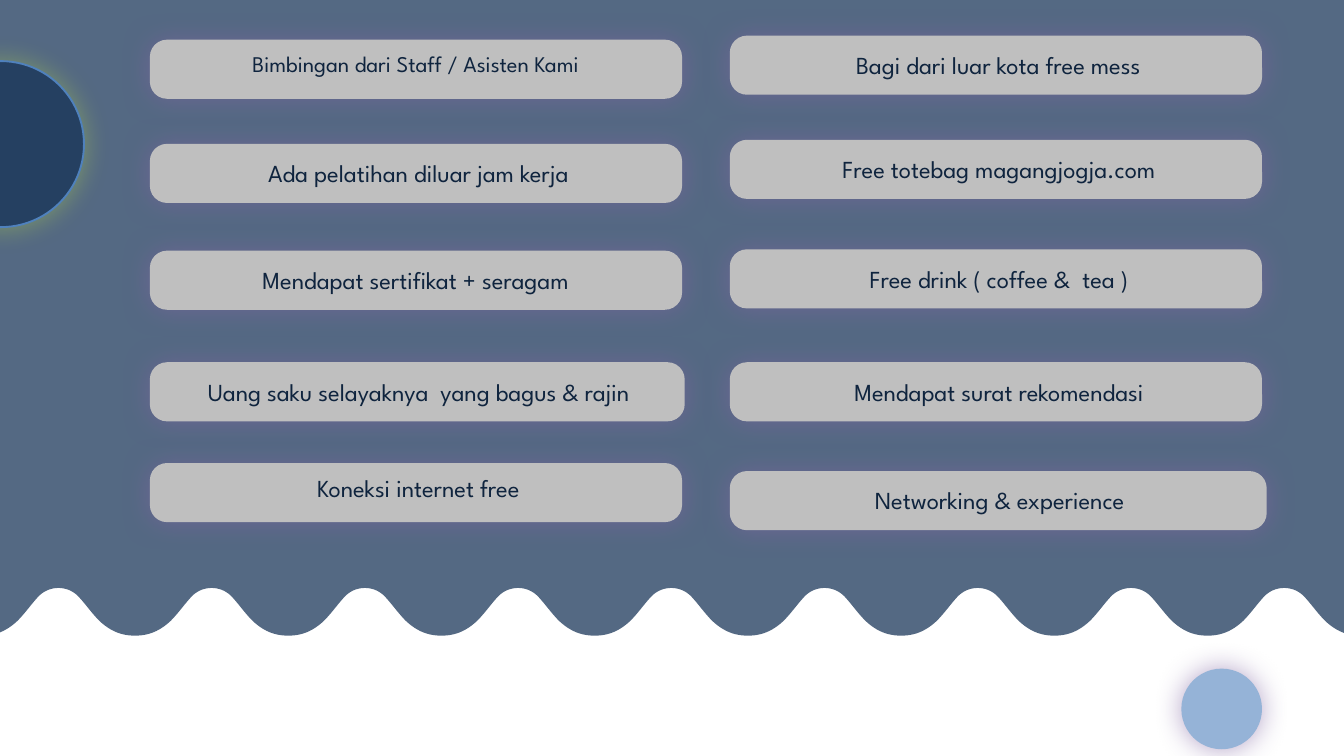
from collections import namedtuple

from lxml import etree
from pptx import Presentation
from pptx.dml.color import RGBColor
from pptx.enum.shapes import MSO_SHAPE
from pptx.enum.text import MSO_AUTO_SIZE, PP_ALIGN
from pptx.oxml.ns import qn
from pptx.util import Pt

OVAL = MSO_SHAPE.OVAL
ROUNDED = MSO_SHAPE.ROUNDED_RECTANGLE
CENTER = PP_ALIGN.CENTER
GROW = MSO_AUTO_SIZE.SHAPE_TO_FIT_TEXT

SCALE = 9144
SLIDE_WIDTH, SLIDE_HEIGHT = 2000, 1125
FONT = "League Spartan"
NAVY, INK, GREY = "254061", "0F243E", "BFBFBF"
SKY, BLUE, PURPLE, GREEN = "95B3D7", "4F81BD", "8064A2", "9BBB59"

CARD_HEIGHT = 88
WAVE_PERIOD = 228
WAVE_CREST = 87
HALF_WAVE = [
    ((0, 875), (12, 875), (23, 880), (31, 889)),
    ((31, 889), (41, 900), (50, 913), (61, 924)),
    ((61, 924), (78, 940), (95, 946), (114, 946)),
]

Box = namedtuple("Box", "left top width height")
Benefit = namedtuple(
    "Benefit", "text top width text_left text_top text_width size",
    defaults=(792, 65, 17, 669, 26.2))

LEFT_BENEFITS = [
    Benefit("Bimbingan dari Staff / Asisten Kami", 59, text_left=61, text_top=10, size=24),
    Benefit("Ada pelatihan diluar jam kerja", 214),
    Benefit("Mendapat sertifikat + seragam", 373, text_left=61, text_top=16),
    Benefit("Uang saku selayaknya  yang bagus & rajin", 539, 796, text_left=4, text_width=792),
    Benefit("Koneksi internet free", 689, text_top=10),
]
RIGHT_BENEFITS = [
    Benefit("Bagi dari luar kota free mess", 53, text_top=16),
    Benefit("Free totebag magangjogja.com", 208, text_left=66),
    Benefit("Free drink ( coffee &  tea )", 371, text_left=66),
    Benefit("Mendapat surat rekomendasi", 539, text_left=66),
    Benefit("Networking & experience", 701, 799, text_left=67, text_top=16),
]


def px(value):
    return round(value * SCALE)


def color(value):
    return RGBColor.from_string(value)


def place(box):
    return [px(length) for length in box]


def add_alpha(parent, value, percent):
    rgb = etree.SubElement(parent, qn("a:srgbClr"), val=value)
    etree.SubElement(rgb, qn("a:alpha"), val=str(percent * 1000))


def add_glow(shape, value):
    shape.shadow.inherit = False
    effects = shape._element.spPr.find(qn("a:effectLst"))
    shadow = etree.SubElement(effects, qn("a:outerShdw"), blurRad=str(Pt(30)),
                              dist="0", dir="0", algn="ctr", rotWithShape="0")
    add_alpha(shadow, value, 59)


def add_glowing_shape(slide, kind, box, fill, glow, line=None):
    shape = slide.shapes.add_shape(kind, *place(box))
    shape.fill.solid()
    shape.fill.fore_color.rgb = color(fill)
    if line:
        shape.line.color.rgb = color(line)
        shape.line.width = Pt(2)
    else:
        shape.line.fill.background()
    add_glow(shape, glow)
    return shape


def add_text(slide, box, text, size=26.2, fill=INK, align=CENTER):
    frame = slide.shapes.add_textbox(*place(box)).text_frame
    frame.word_wrap = True
    frame.auto_size = GROW
    paragraph = frame.paragraphs[0]
    paragraph.text = text
    paragraph.alignment = align
    paragraph.font.name = FONT
    paragraph.font.size = Pt(size)
    paragraph.font.color.rgb = color(fill)


def curve_point(curve, t):
    weights = ((1 - t) ** 3, 3 * t * (1 - t) ** 2, 3 * t * t * (1 - t), t ** 3)
    return tuple(sum(w * p[axis] for w, p in zip(weights, curve)) for axis in (0, 1))


def wave_points(left, right):
    half = [curve_point(curve, step / 12) for curve in HALF_WAVE for step in range(12)]
    half.append(HALF_WAVE[-1][-1])
    period = [(-x, y) for x, y in reversed(half)] + half[1:-1]
    points = [(WAVE_CREST + WAVE_PERIOD * index + x, y)
              for index in range(9) for x, y in period]
    return [(x, y) for x, y in points if left < x < right]


def add_wave(slide, box):
    right = box.left + box.width
    edge = [(box.left, 942), *wave_points(box.left, right), (right, 942)]
    outline = [(right, box.top), *reversed(edge)]
    builder = slide.shapes.build_freeform(px(box.left), px(box.top), scale=1)
    builder.add_line_segments([(px(x), px(y)) for x, y in outline], close=True)
    wave = builder.convert_to_shape()
    wave.shadow.inherit = False
    wave.line.fill.background()
    wave.fill.solid()
    wave.fill.fore_color.rgb = color(NAVY)
    solid = wave._element.spPr.find(qn("a:solidFill"))
    solid.clear()
    add_alpha(solid, NAVY, 78)


def add_benefits(slide, left, benefits):
    for item in benefits:
        box = Box(left, item.top, item.width, CARD_HEIGHT)
        card = add_glowing_shape(slide, ROUNDED, box, GREY, PURPLE)
        card.adjustments[0] = 0.29
        text_box = Box(left + item.text_left, item.top + item.text_top, item.text_width, 54)
        add_text(slide, text_box, item.text, size=item.size)


def main():
    presentation = Presentation()
    presentation.slide_width = px(SLIDE_WIDTH)
    presentation.slide_height = px(SLIDE_HEIGHT)
    slide = presentation.slides.add_slide(presentation.slide_layouts[6])
    add_wave(slide, Box(-4, 0, 2004, 946))
    add_glowing_shape(slide, OVAL, Box(1758, 995, 120, 120), SKY, PURPLE)
    add_glowing_shape(slide, OVAL, Box(-122, 91, 247, 247), NAVY, GREEN, line=BLUE)
    add_benefits(slide, 223, LEFT_BENEFITS)
    add_benefits(slide, 1086, RIGHT_BENEFITS)
    presentation.save("out.pptx")


if __name__ == "__main__":
    main()
